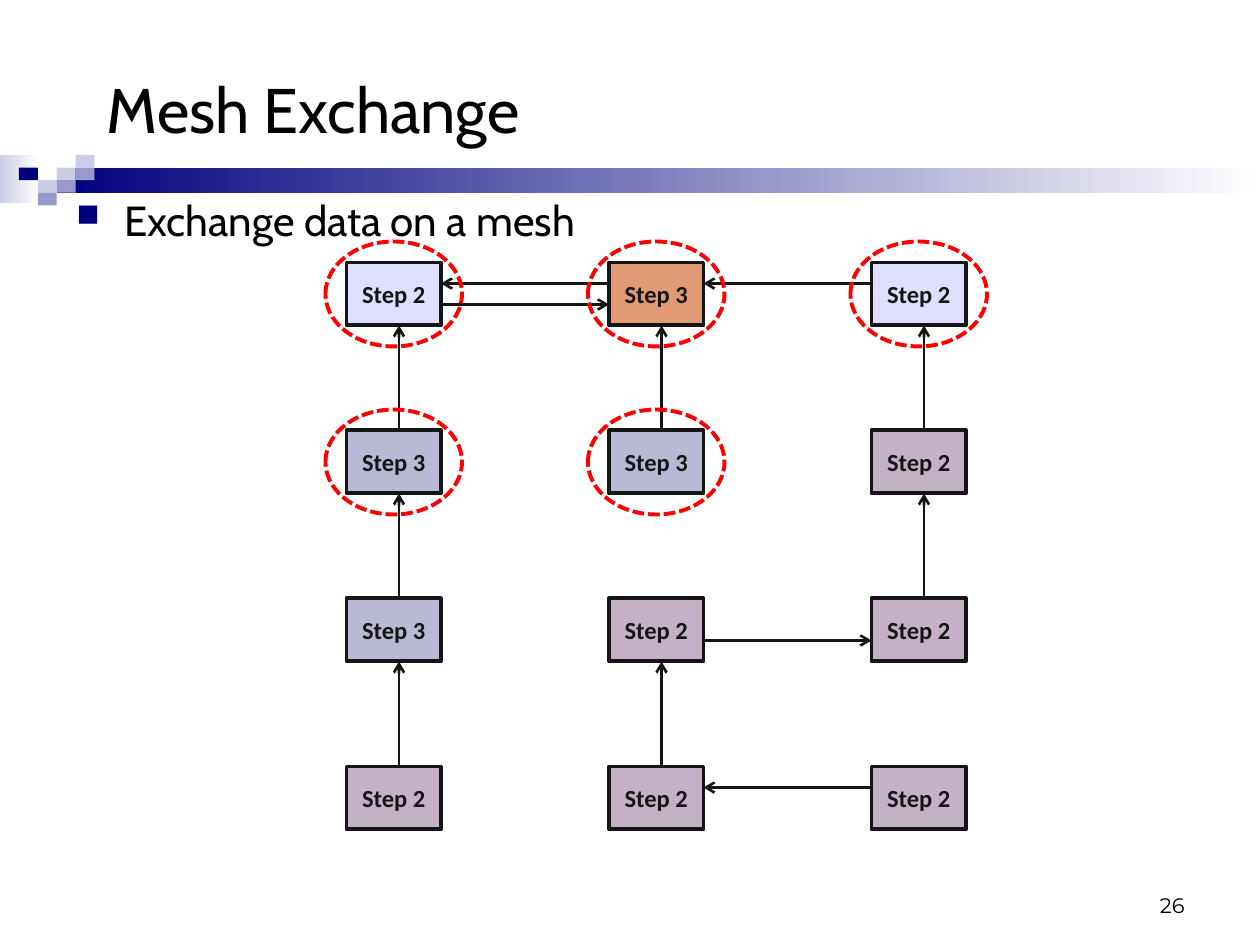
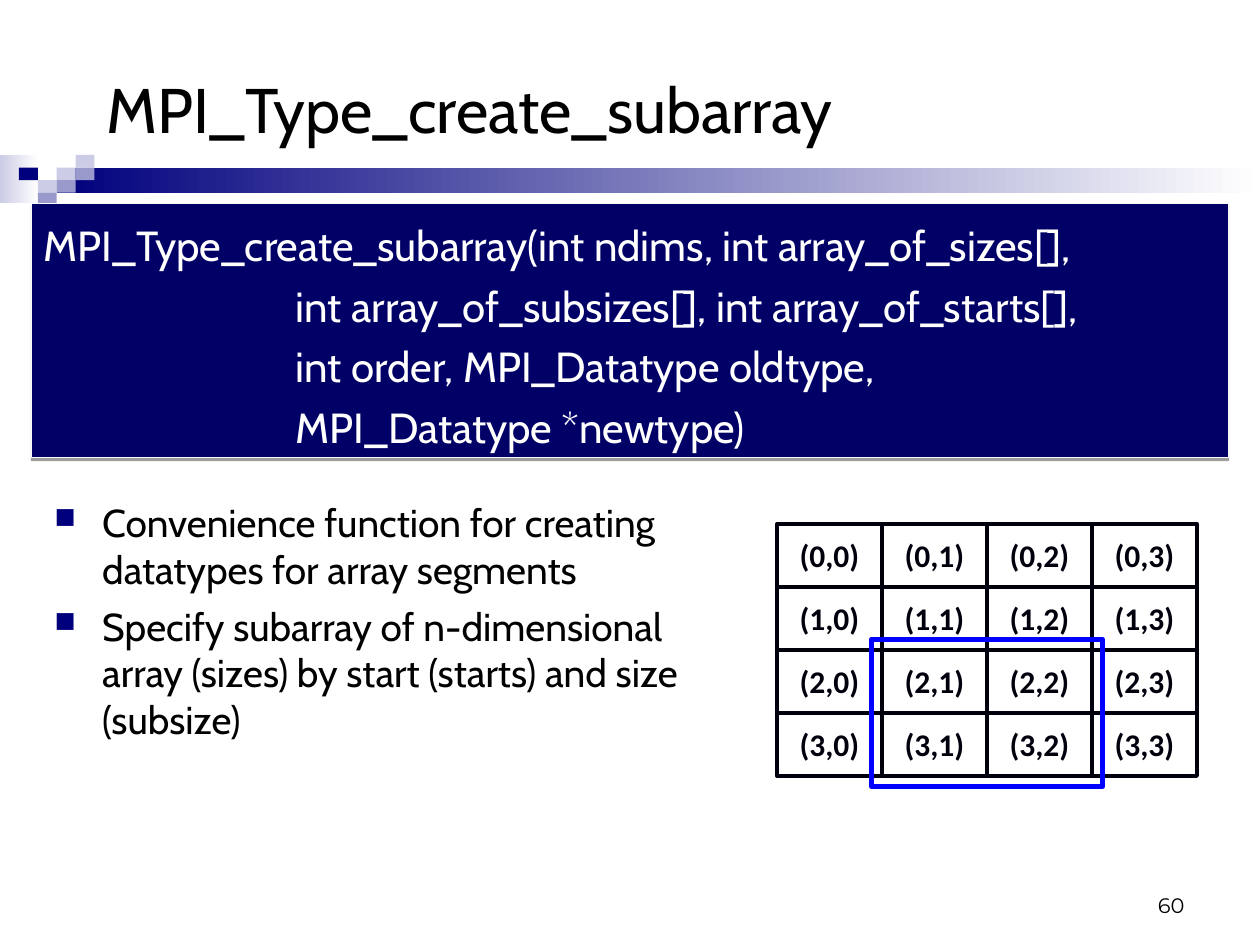
from dataclasses import dataclass
from typing import NamedTuple

from lxml import etree
from pptx import Presentation
from pptx import util as u
from pptx.dml.color import RGBColor
from pptx.enum import dml, shapes, text
from pptx.oxml import ns

BLACK, WHITE, INK, DARK = "000000", "FFFFFF", "151515", "00000D"
NAVY, CODE, MIST, HAZE = "00007D", "000066", "CCCCE6", "9999CC"
LILAC, CORAL, SLATE, MAUVE = "DFDFFF", "E29A75", "B9B9D5", "C4B1C5"
RED, BLUE, PALE = "FF0000", "0000FF", "F9F9F9"
HEAD, BODY, LABEL, FOOT = "Cabin", "Cabin", "Calibri", "Montserrat"

LEFT, MID, RIGHT = text.PP_ALIGN.LEFT, text.PP_ALIGN.CENTER, text.PP_ALIGN.RIGHT
TOP, CORE, BASE = (text.MSO_ANCHOR.TOP, text.MSO_ANCHOR.MIDDLE,
                   text.MSO_ANCHOR.BOTTOM)
RECT, OVAL = shapes.MSO_SHAPE.RECTANGLE, shapes.MSO_SHAPE.OVAL


class Box(NamedTuple):
    """Left, top, width and height in inches."""
    x: float
    y: float
    w: float
    h: float

    def emu(self) -> list:
        return [u.Inches(v) for v in self]


@dataclass(frozen=True)
class Grid:
    """Columns and rows, in inches, counted from a corner."""
    col: float
    row: float
    x: float = 0
    y: float = 0

    def box(self, col: float, row: float, wide: float = 1, high: float = 1) -> Box:
        return Box(self.x + col * self.col, self.y + row * self.row,
                   wide * self.col, high * self.row)


@dataclass(frozen=True)
class Tile:
    col: float
    row: float
    fill: str
    wide: float = 1
    high: float = 1
    fade: bool = False


class Node(NamedTuple):
    step: int
    fill: str


class Hop(NamedTuple):
    """One move between mesh nodes, each given as column and row."""
    start: tuple
    end: tuple


PAGE = Grid(1 / 12, 1 / 12)
TRIM = Grid(0.15, 0.1, y=1.23)

TILES = [
    Tile(0, 0, MIST, 2.05, 3.8, fade=True),
    Tile(3, 1, NAVY, 63.67, 2, fade=True),
    Tile(3, 1, MIST), Tile(4, 0, MIST), Tile(4, 1, HAZE), Tile(2, 2, MIST),
    Tile(1, 1, NAVY), Tile(3, 2, HAZE), Tile(2, 3, HAZE),
]

# Mesh measures, in page cells
MESH_X, MESH_Y, STEP_X, STEP_Y, NODE_W, NODE_H = 33, 25, 25, 16, 9, 6
NODES = [
    [Node(2, LILAC), Node(3, CORAL), Node(2, LILAC)],
    [Node(3, SLATE), Node(3, SLATE), Node(2, MAUVE)],
    [Node(3, SLATE), Node(2, MAUVE), Node(2, MAUVE)],
    [Node(2, MAUVE), Node(2, MAUVE), Node(2, MAUVE)],
]
CLIMBS = [(0, 1), (1, 1), (0, 2), (0, 3), (1, 3), (2, 1), (2, 2)]
HOPS = [Hop((c, r), (c, r - 1)) for c, r in CLIMBS] + [
    Hop((0, 0), (1, 0)), Hop((1, 0), (0, 0)), Hop((2, 0), (1, 0)),
    Hop((1, 2), (2, 2)), Hop((2, 3), (1, 3)),
]
RINGS = [(2, 0), (0, 0), (1, 1), (1, 0), (0, 1)]

CALL = [
    "MPI_Type_create_subarray(int ndims, int array_of_sizes[],",
    "int array_of_subsizes[], int array_of_starts[],",
    "int order, MPI_Datatype oldtype,",
    "MPI_Datatype *newtype)",
]
POINTS = [
    "Convenience function for creating datatypes for array segments",
    "Specify subarray of n-dimensional array (sizes) by start (starts) "
    "and size (subsize)",
]


def rgb(code: str) -> RGBColor:
    return RGBColor.from_string(code)


def add(parent, tag: str, **attrs):
    return etree.SubElement(parent, ns.qn(tag), attrs)


def bullet(para) -> None:
    props = para._p.get_or_add_pPr()
    add(add(props, "a:buClr"), "a:srgbClr", val=NAVY)
    add(props, "a:buSzPct", val="75000")
    add(props, "a:buChar", char="■")


def indent(para, left: float, first: float = 0) -> None:
    props = para._p.get_or_add_pPr()
    props.set("marL", str(u.Inches(left)))
    props.set("indent", str(u.Inches(first)))


def write(shape, lines, *, size: float, font: str, color: str = BLACK,
          bold: bool = False, align=LEFT, anchor=TOP, lead: float | None = None,
          marks: bool = False, hang: float = 0) -> None:
    """Fill a shape with paragraphs; hang indents all lines but the first."""
    frame = shape.text_frame
    frame.word_wrap = True
    frame.vertical_anchor = anchor
    for i, line in enumerate(lines):
        para = frame.paragraphs[0] if i == 0 else frame.add_paragraph()
        para.alignment = align
        if lead:
            para.line_spacing = lead
        if marks:
            indent(para, 0.38, -0.38)
            bullet(para)
            if i:
                para.space_before = u.Pt(6)
        elif hang and i:
            indent(para, hang)
        run = para.add_run()
        run.text = line
        run.font.size, run.font.name, run.font.bold = u.Pt(size), font, bold
        run.font.color.rgb = rgb(color)


def label(slide, box: Box, lines, **style) -> None:
    write(slide.shapes.add_textbox(*box.emu()), lines, **style)


def draw(slide, box: Box, *, kind=RECT, fill: str | None = None,
         fade: bool = False, line: str | None = None, width: float = 2.25,
         dash=None):
    shape = slide.shapes.add_shape(kind, *box.emu())
    shape.shadow.inherit = False
    if fade:
        shape.fill.gradient()
        shape.fill.gradient_angle = 0
        for stop, place, color in zip(shape.fill.gradient_stops, (0, 1),
                                      (fill, WHITE)):
            stop.position, stop.color.rgb = place, rgb(color)
    elif fill:
        shape.fill.solid()
        shape.fill.fore_color.rgb = rgb(fill)
    else:
        shape.fill.background()
    if line:
        shape.line.color.rgb = rgb(line)
        shape.line.width = u.Pt(width)
        if dash:
            shape.line.dash_style = dash
    else:
        shape.line.fill.background()
    return shape


def arrow(slide, start: Box, end: Box) -> None:
    link = slide.shapes.add_connector(
        shapes.MSO_CONNECTOR.STRAIGHT, *start.emu()[:2], *end.emu()[:2])
    link.line.color.rgb = rgb(INK)
    link.line.width = u.Pt(1.5)
    add(link.line._get_or_add_ln(), "a:tailEnd", type="arrow")
    add(link._element.spPr, "a:effectLst")


def shade(shape) -> None:
    """Cast a thin shadow straight down."""
    effects = shape._element.spPr.find(ns.qn("a:effectLst"))
    cast = add(effects, "a:outerShdw", blurRad="0", dist=str(u.Pt(1.6)),
               dir="5400000", algn="ctr", rotWithShape="0")
    add(add(cast, "a:srgbClr", val=BLACK), "a:alpha", val="38000")


def start_slide(deck, title: str, number: int):
    """Add a slide with the trim, title and page number."""
    slide = deck.slides.add_slide(deck.slide_layouts[6])
    for tile in TILES:
        draw(slide, TRIM.box(tile.col, tile.row, tile.wide, tile.high),
             fill=tile.fill, fade=tile.fade)
    label(slide, PAGE.box(9, 5, 101, 10.7), [title], size=36, font=HEAD,
          anchor=CORE)
    label(slide, PAGE.box(86, 82, 28, 6), [str(number)], size=12, font=FOOT,
          align=RIGHT, anchor=BASE)
    return slide


def corner(col: int, row: int) -> tuple[int, int]:
    """Page cell at the top left of a mesh node."""
    return MESH_X + col * STEP_X, MESH_Y + row * STEP_Y


def draw_hop(slide, hop: Hop) -> None:
    (x1, y1), (x2, y2) = corner(*hop.start), corner(*hop.end)
    if x1 == x2:
        ends = (x1 + 5, y1), (x2 + 5, y2 + NODE_H)
    elif x1 < x2:
        ends = (x1 + NODE_W, y1 + 4), (x2, y2 + 4)
    else:
        ends = (x1, y1 + 2), (x2 + NODE_W, y2 + 2)
    arrow(slide, *(PAGE.box(*end) for end in ends))


def mesh_slide(deck) -> None:
    slide = start_slide(deck, "Mesh Exchange", 26)
    for r, nodes in enumerate(NODES):
        for c, node in enumerate(nodes):
            shape = draw(slide, PAGE.box(*corner(c, r), NODE_W, NODE_H),
                         fill=node.fill, line=INK)
            write(shape, [f"Step {node.step}"], size=14, font=LABEL, color=INK,
                  bold=True, align=MID, anchor=CORE)
    for hop in HOPS:
        draw_hop(slide, hop)
    for ring in RINGS:
        x, y = corner(*ring)
        draw(slide, PAGE.box(x - 2, y - 2, NODE_W + 4, NODE_H + 4), kind=OVAL,
             line=RED, dash=dml.MSO_LINE.SQUARE_DOT)
    label(slide, PAGE.box(6.1, 17.9, 109.8, 9.1), ["Exchange data on a mesh"],
          size=24, font=BODY, marks=True)


def array_slide(deck) -> None:
    slide = start_slide(deck, "MPI_Type_create_subarray", 60)
    label(slide, PAGE.box(4, 46.9, 66, 27), POINTS, size=22.2, font=BODY,
          marks=True)
    panel = draw(slide, PAGE.box(3, 19.4, 114, 24.2), fill=CODE, line=PALE,
                 width=0.75)
    shade(panel)
    write(panel, CALL, size=24, font=BODY, color=WHITE, lead=1.2, hang=2)
    for r in range(4):
        for c in range(4):
            cell = draw(slide, PAGE.box(74 + 10 * c, 49.9 + 6 * r, 10, 6),
                        line=DARK)
            write(cell, [f"({r},{c})"], size=18, font=LABEL, color=DARK,
                  bold=True, align=MID, anchor=CORE)
    draw(slide, PAGE.box(83, 60.9, 22, 14), line=BLUE, width=3)


def main() -> None:
    deck = Presentation()
    deck.slide_width, deck.slide_height = u.Inches(10), u.Inches(7.5)
    mesh_slide(deck)
    array_slide(deck)
    deck.save("out.pptx")


if __name__ == "__main__":
    main()
